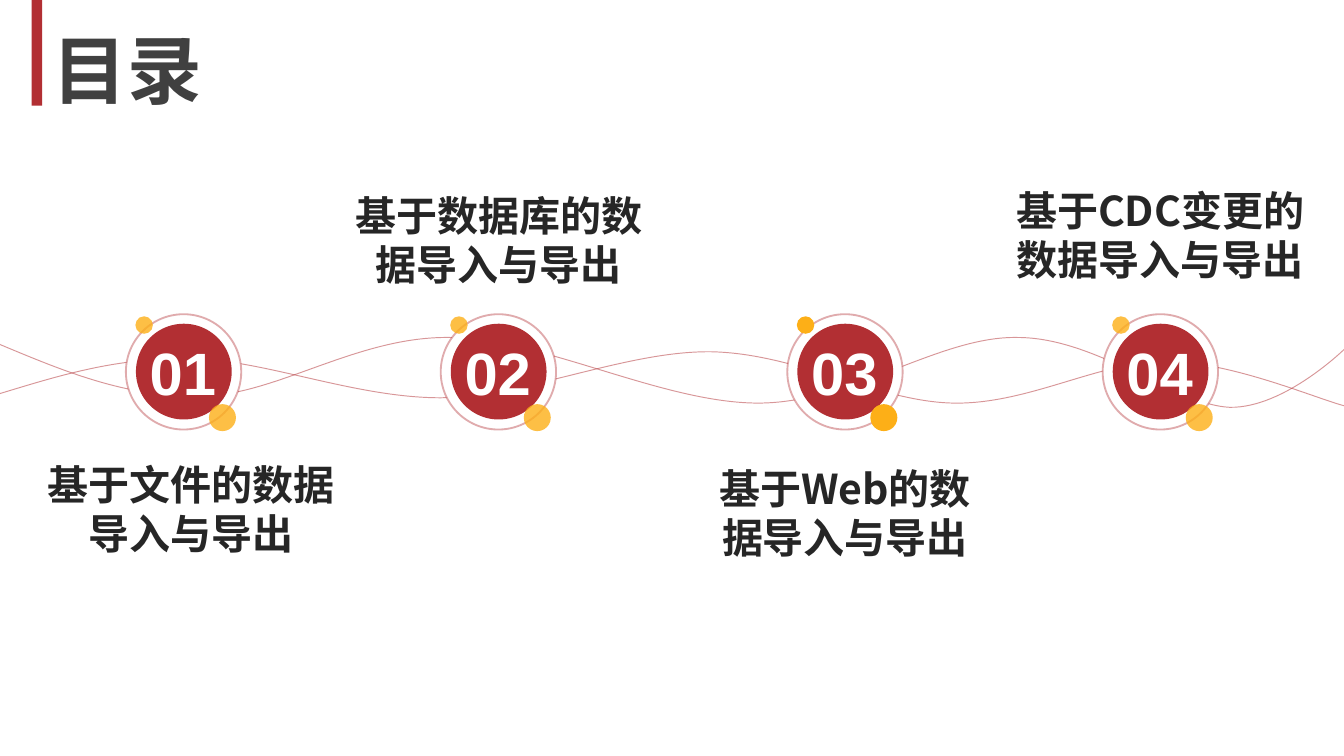
from lxml.etree import SubElement
from pptx import Presentation
from pptx.dml.color import RGBColor
from pptx.enum.shapes import MSO_SHAPE
from pptx.enum.text import MSO_AUTO_SIZE, PP_ALIGN
from pptx.oxml.ns import qn
from pptx.util import Cm, Pt

RED = RGBColor(0xB2, 0x2F, 0x33)
AMBER = RGBColor(0xFD, 0xAF, 0x17)
WHITE = RGBColor(0xFF, 0xFF, 0xFF)
TITLE_GREY = RGBColor(0x40, 0x40, 0x40)
LABEL_GREY = RGBColor(0x26, 0x26, 0x26)
CHINESE_FONT = "Noto Sans CJK SC"
NUMBER_FONT = "Arial"

# Each wave: start point, then Bezier segments (control, control, end), in cm
WAVES = [
    ((0, 7.44), [
        ((1.09, 7.11), (2.18, 6.76), (3.56, 6.78)),
        ((4.95, 6.78), (6.68, 7.52), (8.33, 7.52)),
        ((9.96, 7.49), (11.84, 6.63), (13.44, 6.65)),
        ((15.06, 6.68), (16.59, 7.59), (18.01, 7.62)),
        ((19.43, 7.65), (20.78, 6.83), (22.02, 6.83)),
        ((23.24, 6.83), (24.84, 7.52), (25.4, 7.67)),
    ]),
    ((-0.03, 6.5), [
        ((1.19, 7.01), (2.39, 7.52), (3.81, 7.49)),
        ((5.23, 7.47), (6.76, 6.35), (8.51, 6.38)),
        ((10.26, 6.4), (12.52, 7.62), (14.33, 7.62)),
        ((16.1, 7.62), (17.75, 6.35), (19.23, 6.38)),
        ((20.73, 6.38), (22.2, 7.65), (23.24, 7.7)),
        ((24.28, 7.72), (25.43, 6.58), (25.43, 6.58)),
    ]),
]

# Marker left edge and opacity of its dots
MARKER_TOP = 5.94
MARKERS = [(2.38, 80), (8.33, 80), (14.88, 100), (20.84, 80)]

# Label text, left, top, width
LABELS = [
    ("基于文件的数据导入与导出", 0.46, 8.61, 6.3),
    ("基于数据库的数据导入与导出", 6.35, 3.52, 6.15),
    ("基于Web的数据导入与导出", 13.15, 8.68, 5.64),
    ("基于CDC变更的数据导入与导出", 18.85, 3.43, 6.15),
]


def set_opacity(fill, percent):
    if percent < 100:
        color = fill._xPr.find(qn("a:solidFill"))[0]
        SubElement(color, qn("a:alpha")).set("val", str(percent * 1000))


def set_line(shape, width, opacity):
    shape.line.width = Pt(width)
    shape.line.fill.solid()
    shape.line.color.rgb = RED
    set_opacity(shape.line.fill, opacity)


def add_solid(shapes, kind, left, top, width, height, color, opacity=100):
    shape = shapes.add_shape(kind, Cm(left), Cm(top), Cm(width), Cm(height))
    shape.shadow.inherit = False
    shape.fill.solid()
    shape.fill.fore_color.rgb = color
    set_opacity(shape.fill, opacity)
    shape.line.fill.background()
    return shape


def add_circle(shapes, left, top, size, color, opacity=100):
    return add_solid(shapes, MSO_SHAPE.OVAL, left, top, size, size, color, opacity)


def add_text(shapes, text, box, size, color, font_name, insets, align, wrap=True):
    shape = shapes.add_textbox(*(Cm(value) for value in box))
    frame = shape.text_frame
    frame.text = text
    frame.word_wrap = wrap
    frame.auto_size = MSO_AUTO_SIZE.SHAPE_TO_FIT_TEXT
    frame.margin_left = frame.margin_right = Cm(insets[0])
    frame.margin_top = frame.margin_bottom = Cm(insets[1])
    paragraph = frame.paragraphs[0]
    paragraph.alignment = align
    for run in paragraph.runs:
        run.font.size = Pt(size)
        run.font.bold = True
        run.font.color.rgb = color
        run.font.name = font_name
        east_asian = SubElement(run.font._element, qn("a:ea"))
        east_asian.set("typeface", font_name)


def bend_lines(freeform):
    """Turn every three straight segments into one cubic Bezier curve."""
    outline = next(freeform._element.iter(qn("a:path")))
    lines = outline.findall(qn("a:lnTo"))
    for index in range(0, len(lines), 3):
        curve = SubElement(outline, qn("a:cubicBezTo"))
        for line in lines[index:index + 3]:
            curve.append(line[0])
            outline.remove(line)


def add_wave(shapes, start, segments):
    builder = shapes.build_freeform(Cm(start[0]), Cm(start[1]))
    points = [(Cm(x), Cm(y)) for segment in segments for x, y in segment]
    builder.add_line_segments(points, close=False)
    wave = builder.convert_to_shape()
    bend_lines(wave)
    wave.shadow.inherit = False
    wave.fill.background()
    set_line(wave, 0.5, 50)


def add_marker(shapes, number, left, dot_opacity):
    group = shapes.add_group_shape().shapes
    top = MARKER_TOP
    ring = add_circle(group, left, top, 2.18, WHITE)
    set_line(ring, 1, 40)
    add_circle(group, left + 0.19, top + 0.18, 1.81, RED)
    add_circle(group, left + 1.57, top + 1.7, 0.51, AMBER, dot_opacity)
    add_circle(group, left + 0.18, top + 0.04, 0.33, AMBER, dot_opacity)
    add_text(group, f"{number:02d}", (left + 0.2, top + 0.28, 1.78, 1.63),
             32, WHITE, NUMBER_FONT, (0.25, 0.13), PP_ALIGN.LEFT, wrap=False)


def main():
    presentation = Presentation()
    presentation.slide_width = Cm(25.4)
    presentation.slide_height = Cm(14.29)
    slide = presentation.slides.add_slide(presentation.slide_layouts[6])
    shapes = slide.shapes

    # Waves behind the markers
    for start, segments in WAVES:
        add_wave(shapes, start, segments)

    # Title
    add_text(shapes, "目录", (0.43, 0.36, 3.96, 1.9), 40, TITLE_GREY,
             CHINESE_FONT, (0.18, 0.1), PP_ALIGN.CENTER)

    # Numbered markers
    for number, (left, dot_opacity) in enumerate(MARKERS, start=1):
        add_marker(shapes, number, left, dot_opacity)

    # Red bar beside the title
    add_solid(shapes, MSO_SHAPE.RECTANGLE, 0.6, 0, 0.2, 2, RED)

    # Chapter labels
    for text, left, top, width in LABELS:
        add_text(shapes, text, (left, top, width, 2), 22, LABEL_GREY,
                 CHINESE_FONT, (0.13, 0.08), PP_ALIGN.CENTER)

    presentation.save("out.pptx")


if __name__ == "__main__":
    main()
